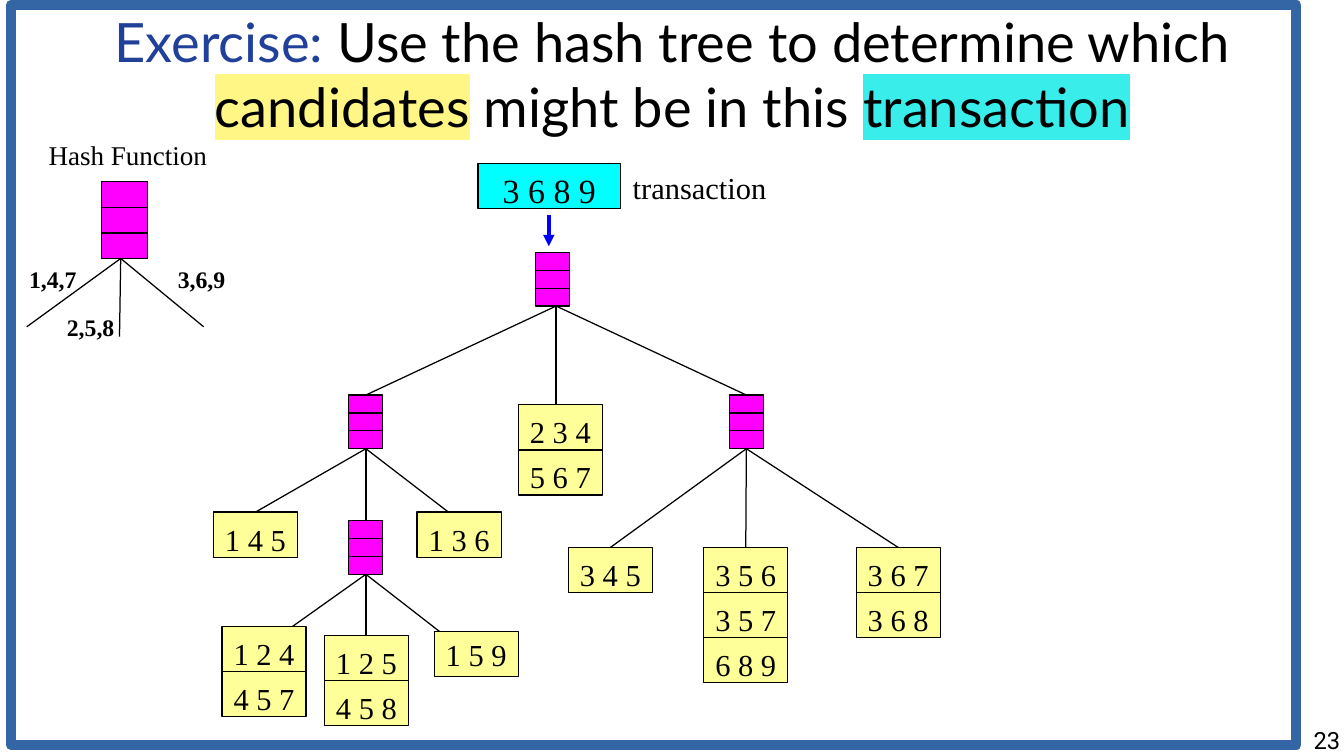
from typing import NamedTuple

from lxml import etree
from pptx import Presentation
from pptx.dml.color import RGBColor
from pptx.enum.shapes import MSO_CONNECTOR, MSO_SHAPE
from pptx.enum.text import MSO_ANCHOR, PP_ALIGN
from pptx.oxml.ns import qn
from pptx.util import Inches, Pt

LEFT, MID, RIGHT = PP_ALIGN.LEFT, PP_ALIGN.CENTER, PP_ALIGN.RIGHT
TOP, CENTER = MSO_ANCHOR.TOP, MSO_ANCHOR.MIDDLE
RECT, LINE = MSO_SHAPE.RECTANGLE, MSO_CONNECTOR.STRAIGHT
SERIF = "Times New Roman"
BLACK, PINK, CREAM, AQUA = "000000", "FF00FF", "FFFF99", "00FFFF"
NEAR = 0.015


class Node(NamedTuple):
    x: float
    y: float
    w: float = 0.28
    h: float = 0.44


class Leaf(NamedTuple):
    x: float
    y: float
    items: tuple[str, ...]
    pad: float = 0.07


class Fork(NamedTuple):
    x: float
    y: float
    ends: tuple[tuple[float, float], ...]


class Label(NamedTuple):
    x: float
    y: float
    w: float
    h: float
    text: str
    size: int
    bold: bool = False


class Span(NamedTuple):
    text: str
    color: str = BLACK
    mark: str = ""


NODES = (
    Node(4.39, 2.07),
    Node(2.86, 3.24),
    Node(5.98, 3.24),
    Node(2.86, 4.27),
    Node(0.83, 1.49, 0.38, 0.63),
)
LEAVES = (
    Leaf(4.25, 3.32, ("2 3 4", "5 6 7")),
    Leaf(1.75, 4.2, ("1 4 5",)),
    Leaf(3.42, 4.2, ("1 3 6",)),
    Leaf(4.66, 4.49, ("3 4 5",)),
    Leaf(5.77, 4.49, ("3 5 6", "3 5 7", "6 8 9")),
    Leaf(7.02, 4.49, ("3 6 7", "3 6 8")),
    Leaf(1.82, 5.14, ("1 2 4", "4 5 7")),
    Leaf(2.66, 5.21, ("1 2 5", "4 5 8")),
    Leaf(3.56, 5.18, ("1 5 9",), 0.04),
)
FORKS = (
    Fork(4.56, 2.51, ((3, 3.25), (4.56, 3.32), (6.12, 3.25))),
    Fork(2.99, 3.68, ((2.1, 4.21), (2.99, 4.27), (3.69, 4.21))),
    Fork(6.12, 3.68, ((5.01, 4.49), (6.12, 4.49), (7.37, 4.49))),
    Fork(3, 4.71, ((2.17, 5.3), (3, 5.37), (3.76, 5.3))),
    Fork(0.99, 2.12, ((0.22, 2.68), (0.98, 2.76), (1.67, 2.68))),
)
LABELS = (
    Label(0.3, 1.09, 1.6, 0.37, "Hash Function", 16),
    Label(0.14, 2.12, 0.7, 0.33, "1,4,7", 14, True),
    Label(0.45, 2.52, 0.7, 0.33, "2,5,8", 14, True),
    Label(1.36, 2.12, 0.7, 0.33, "3,6,9", 14, True),
    Label(5.09, 1.34, 1.5, 0.4, "transaction", 18),
)
TITLE = (
    Span("Exercise:", "21409A"),
    Span(" Use the hash tree to determine which "),
    Span("candidates", mark="FFF685"),
    Span(" might be in this "),
    Span("transaction", mark="39EDEA"),
)


def tint(code: str) -> RGBColor:
    return RGBColor.from_string(code)


def write(shape, text: str, size: int, font=SERIF, align=MID, anchor=TOP,
          pads=(0.1, 0.05, 0.1, 0.05), bold=False, wrap=False):
    frame = shape.text_frame
    frame.word_wrap = wrap
    frame.vertical_anchor = anchor
    frame.margin_left, frame.margin_top, frame.margin_right, frame.margin_bottom = map(Inches, pads)
    para = frame.paragraphs[0]
    para.alignment = align
    para.font.size = Pt(size)
    para.font.name = font
    para.font.bold = bold
    if text:
        para.font.color.rgb = tint(BLACK)
        para.add_run().text = text
    return para


def field(slide, x: float, y: float, w: float, h: float):
    return slide.shapes.add_textbox(Inches(x), Inches(y), Inches(w), Inches(h))


def box(slide, x: float, y: float, w: float, h: float, fill="", edge=BLACK, width=0.75):
    shape = slide.shapes.add_shape(RECT, Inches(x), Inches(y), Inches(w), Inches(h))
    shape.shadow.inherit = False
    if fill:
        shape.fill.solid()
        shape.fill.fore_color.rgb = tint(fill)
    else:
        shape.fill.background()
    shape.line.color.rgb = tint(edge)
    shape.line.width = Pt(width)
    return shape


def stroke(slide, x: float, y: float, to_x: float, to_y: float, color=BLACK, width=0.75):
    line = slide.shapes.add_connector(LINE, Inches(x), Inches(y), Inches(to_x), Inches(to_y))
    line.line.color.rgb = tint(color)
    line.line.width = Pt(width)
    etree.SubElement(line._element.spPr, qn("a:effectLst"))
    return line


def meets(shape, x: float, y: float, edge: int) -> bool:
    mid = shape.left + shape.width / 2
    return abs(mid - Inches(x)) < Inches(NEAR) and abs(edge - Inches(y)) < Inches(NEAR)


def branch(slide, fork: Fork, boxes: list) -> None:
    for x, y in fork.ends:
        line = stroke(slide, fork.x, fork.y, x, y)
        for shape in boxes:
            if meets(shape, fork.x, fork.y, shape.top + shape.height):
                line.begin_connect(shape, 2)
            if meets(shape, x, y, shape.top):
                line.end_connect(shape, 0)
        slide.shapes._spTree.insert(2, line._element)


def head(slide) -> None:
    para = write(field(slide, 0.05, -0.02, 10.93, 1.25), "", 32, "Lato",
                 anchor=CENTER, pads=(0, 0, 0, 0), wrap=True)
    for span in TITLE:
        run = para.add_run()
        run.text = span.text
        run.font.color.rgb = tint(span.color)
        if span.mark:
            mark = etree.Element(qn("a:highlight"))
            etree.SubElement(mark, qn("a:srgbClr"), val=span.mark)
            run.font._element.find(qn("a:solidFill")).addnext(mark)


def main() -> None:
    deck = Presentation()
    deck.slide_width, deck.slide_height = Inches(11.02), Inches(6.2)
    slide = deck.slides.add_slide(deck.slide_layouts[6])
    head(slide)

    boxes = []
    for node in NODES:
        boxes.append(box(slide, *node, fill=PINK))
        for part in (1, 2):
            y = node.y + node.h * part / 3
            stroke(slide, node.x, y, node.x + node.w, y)
    for leaf in LEAVES:
        for row, text in enumerate(leaf.items):
            cell = box(slide, leaf.x, leaf.y + 0.37 * row, 0.69, 0.37, CREAM)
            write(cell, text, 18, pads=(0.1, leaf.pad, 0.1, 0))
            boxes.append(cell)
    for fork in FORKS:
        branch(slide, fork, boxes)

    query = box(slide, 3.92, 1.34, 1.17, 0.37, AQUA)
    write(query, "3 6 8 9", 20, pads=(0.1, 0.05, 0.1, 0))
    arrow = stroke(slide, 4.5, 1.76, 4.5, 2.02, "0000FF", 2.25)
    etree.SubElement(arrow.line._get_or_add_ln(), qn("a:tailEnd"), type="triangle")

    for label in LABELS:
        area = field(slide, label.x, label.y, label.w, label.h)
        write(area, label.text, label.size, align=LEFT, bold=label.bold, wrap=True)
    box(slide, 0.09, 0.04, 10.54, 6.07, edge="3465A4", width=6)
    write(field(slide, 8.42, 5.95, 2.57, 0.25), "23", 14, "Roboto", RIGHT,
          pads=(0, 0, 0, 0), wrap=True)
    deck.save("out.pptx")


if __name__ == "__main__":
    main()
